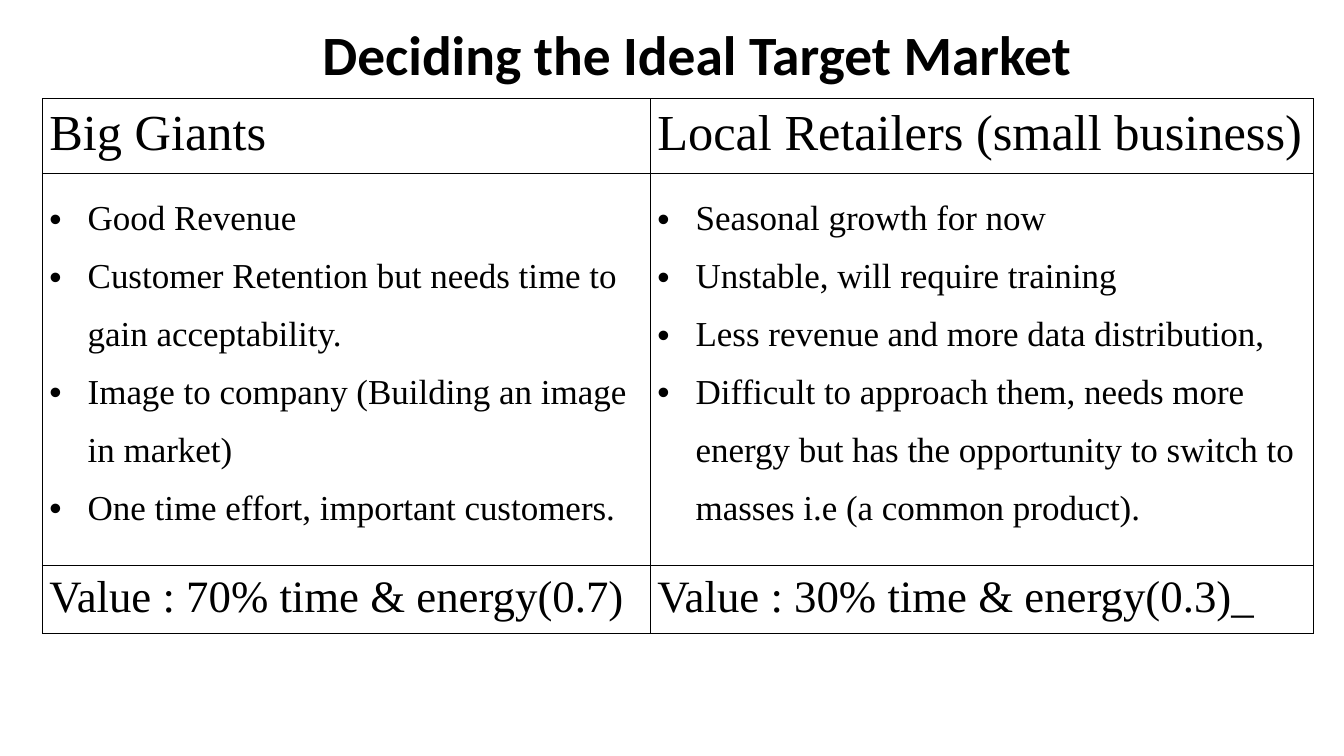
"""Build a slide that compares two target markets in a bordered table."""
from lxml.etree import SubElement
from pptx import Presentation
from pptx.dml.color import RGBColor
from pptx.enum.text import MSO_ANCHOR, PP_ALIGN
from pptx.oxml.ns import qn
from pptx.util import Inches, Pt

BLACK = "000000"
SERIF = "Times New Roman"
COLS = [6.03, 6.58]
ROWS = [0.69, 3.59, 0.63]
SIZES = [36, 25, 32]
MARKETS = [
    [
        ["Big Giants"],
        ["Good Revenue",
         "Customer Retention but needs time to gain acceptability.",
         "Image to company (Building an image in market)",
         "One time effort, important customers."],
        ["Value : 70% time & energy(0.7)"],
    ],
    [
        ["Local Retailers (small business)"],
        ["Seasonal growth for now",
         "Unstable, will require training",
         "Less revenue and more data distribution,",
         "Difficult to approach them, needs more energy but has the "
         "opportunity to switch to masses i.e (a common product)."],
        ["Value : 30% time & energy(0.3)_"],
    ],
]


def add_run(p, text, size, font, color=BLACK, bold=False):
    r = p.add_run()
    r.text = text
    r.font.size = Pt(size)
    r.font.name = font
    r.font.bold = bold
    r.font.color.rgb = RGBColor.from_string(color)


def add_borders(cell, color=BLACK, width=1):
    tcPr = cell._tc.get_or_add_tcPr()
    for side in ("a:lnL", "a:lnR", "a:lnT", "a:lnB"):
        ln = SubElement(tcPr, qn(side), w=str(Pt(width)))
        fill = SubElement(ln, qn("a:solidFill"))
        SubElement(fill, qn("a:srgbClr"), val=color)


prs = Presentation()
prs.slide_width, prs.slide_height = Inches(13.33), Inches(7.5)
s = prs.slides.add_slide(prs.slide_layouts[6])

title = s.shapes.add_textbox(Inches(0.92), Inches(0.24), Inches(12.11), Inches(0.66))
tf = title.text_frame
tf.word_wrap = True
tf.vertical_anchor = MSO_ANCHOR.MIDDLE
p = tf.paragraphs[0]
p.alignment = PP_ALIGN.CENTER
p.line_spacing = 0.9
add_run(p, "Deciding the Ideal Target Market ", 39.6, "Calibri", bold=True)

table = s.shapes.add_table(len(ROWS), len(COLS), Inches(0.42), Inches(0.98),
                           Inches(sum(COLS)), Inches(sum(ROWS))).table
table.first_row = table.horz_banding = False
for row, height in zip(table.rows, ROWS):
    row.height = Inches(height)

for c, (width, market) in enumerate(zip(COLS, MARKETS)):
    table.columns[c].width = Inches(width)
    for r, (lines, size) in enumerate(zip(market, SIZES)):
        cell = table.cell(r, c)
        cell.margin_left = cell.margin_right = Inches(0.07)
        cell.margin_top = cell.margin_bottom = Inches(0.07)
        add_borders(cell)
        cell.fill.background()
        tf = cell.text_frame
        for i, line in enumerate(lines):
            p = tf.add_paragraph() if i else tf.paragraphs[0]
            add_run(p, line, size, SERIF)
            if len(lines) > 1:
                p.line_spacing = 1.5
                pPr = p._p.get_or_add_pPr()
                pPr.set("marL", str(Inches(0.38)))
                pPr.set("indent", str(-Inches(0.38)))
                SubElement(pPr, qn("a:buFont"), typeface="Arial")
                SubElement(pPr, qn("a:buChar"), char="•")

prs.save("out.pptx")
